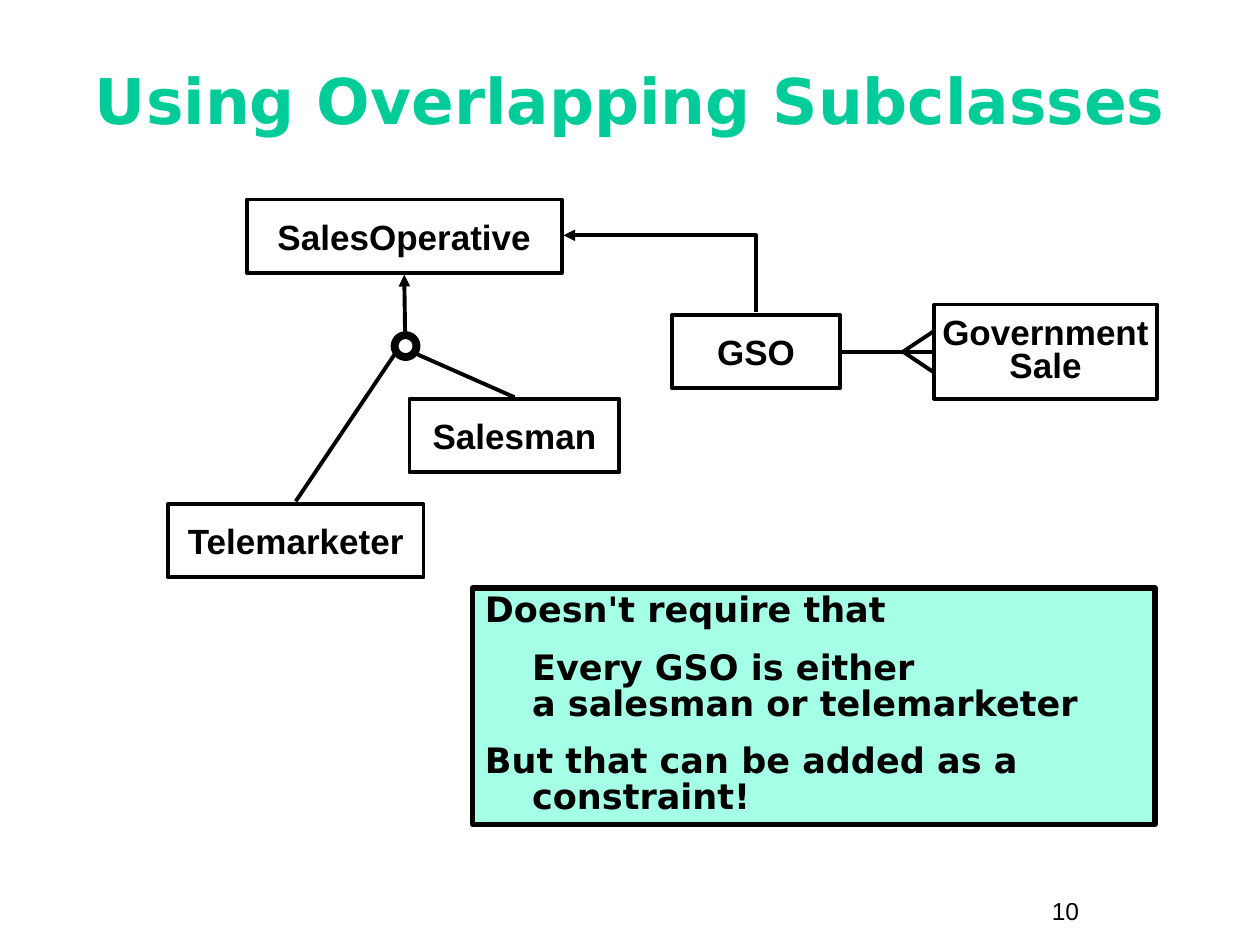
from dataclasses import dataclass

from lxml.etree import SubElement
from pptx import Presentation
from pptx.dml.color import RGBColor
from pptx.enum.shapes import MSO_CONNECTOR, MSO_SHAPE
from pptx.enum.text import MSO_ANCHOR, MSO_AUTO_SIZE, PP_ALIGN
from pptx.oxml.ns import qn
from pptx.slide import Slide
from pptx.util import Pt


def color(hex_code):
    return RGBColor.from_string(hex_code)


@dataclass
class Diagram:
    slide: Slide
    ink: str = "000000"
    accent: str = "00CC99"
    note_fill: str = "A5FFE7"
    label_font: str = "Arial"
    prose_font: str = "DejaVu Sans"
    stroke: float = 2.25
    label_size: int = 20
    space_before: float = 12.5
    note_indent: int = 27

    def format_runs(self, paragraph, font, size, hex_code, bold=True):
        for run in paragraph.runs:
            run.font.name = font
            run.font.size = Pt(size)
            run.font.bold = bold
            run.font.color.rgb = color(hex_code)

    def text(self, content, bounds, font, size, hex_code, bold=True,
             align=PP_ALIGN.LEFT, anchor=MSO_ANCHOR.TOP):
        frame = self.slide.shapes.add_textbox(*map(Pt, bounds)).text_frame
        frame.word_wrap = True
        frame.vertical_anchor = anchor
        frame.text = content
        frame.paragraphs[0].alignment = align
        self.format_runs(frame.paragraphs[0], font, size, hex_code, bold)

    def outline(self, preset, bounds, width, fill=None):
        """Add a bordered shape, hollow unless a fill is given."""
        shape = self.slide.shapes.add_shape(preset, *map(Pt, bounds))
        shape.shadow.inherit = False
        if fill:
            shape.fill.solid()
            shape.fill.fore_color.rgb = color(fill)
        else:
            shape.fill.background()
        shape.line.color.rgb = color(self.ink)
        shape.line.width = Pt(width)
        return shape

    def entity(self, name, bounds, line_spacing=None):
        frame = self.outline(MSO_SHAPE.RECTANGLE, bounds, self.stroke).text_frame
        frame.word_wrap = False
        frame.vertical_anchor = MSO_ANCHOR.MIDDLE
        label = frame.paragraphs[0]
        label.text = name
        label.alignment = PP_ALIGN.CENTER
        label.space_before = Pt(self.space_before)
        label.line_spacing = line_spacing
        self.format_runs(label, self.label_font, self.label_size, self.ink)

    def line(self, start, end, arrow=None, elbow=False):
        """Connect two points; arrow is None, "headEnd" or "tailEnd"."""
        kind = MSO_CONNECTOR.ELBOW if elbow else MSO_CONNECTOR.STRAIGHT
        connector = self.slide.shapes.add_connector(kind, *map(Pt, start + end))
        connector.line.color.rgb = color(self.ink)
        connector.line.width = Pt(self.stroke)
        properties = connector._element.spPr
        if elbow:
            properties.find(qn("a:prstGeom")).set("prst", "bentConnector2")
        if arrow:
            SubElement(properties.find(qn("a:ln")), qn(f"a:{arrow}"), type="triangle")
        SubElement(properties, qn("a:effectLst"))

    def note(self, statements, bounds):
        """Add the filled box; each statement is (text, first-line indent)."""
        frame = self.outline(MSO_SHAPE.RECTANGLE, bounds, 3, self.note_fill).text_frame
        frame.word_wrap = True
        frame.auto_size = MSO_AUTO_SIZE.SHAPE_TO_FIT_TEXT
        frame.vertical_anchor = MSO_ANCHOR.TOP
        frame.text = "\n".join(content for content, _ in statements)
        for paragraph, (_, first_indent) in zip(frame.paragraphs, statements):
            paragraph.alignment = PP_ALIGN.LEFT
            paragraph.line_spacing = 0.85
            paragraph.space_before = Pt(self.space_before)
            layout = paragraph._p.get_or_add_pPr()
            layout.set("marL", str(Pt(self.note_indent)))
            layout.set("indent", str(Pt(first_indent)))
            self.format_runs(paragraph, self.prose_font, self.label_size, self.ink)


def main():
    presentation = Presentation()
    presentation.slide_width, presentation.slide_height = Pt(720), Pt(540)
    diagram = Diagram(presentation.slides.add_slide(presentation.slide_layouts[6]))

    diagram.text("10", (594, 508.5, 66, 24.5), diagram.label_font, 14,
                 diagram.ink, bold=False)
    diagram.text("Using Overlapping Subclasses", (24, 24, 672, 66),
                 diagram.prose_font, 36, diagram.accent,
                 align=PP_ALIGN.CENTER, anchor=MSO_ANCHOR.MIDDLE)

    for name, left, top, width in (
        ("SalesOperative", 141, 114, 180),
        ("Salesman", 234, 228, 120),
        ("Telemarketer", 96, 288, 146),
        ("GSO", 384, 180, 96),
    ):
        diagram.entity(name, (left, top, width, 42))
    diagram.entity("Government\vSale", (534, 174, 127, 54), line_spacing=0.8)

    # Subclasses meet at the overlap circle below SalesOperative
    diagram.line((169, 286.5), (225.5, 202.5))
    diagram.line((294, 227), (238.5, 202.5))
    diagram.outline(MSO_SHAPE.OVAL, (225.5, 191.5, 12.5, 12.5), 4.5)
    diagram.line((231.5, 189.5), (231, 157), arrow="tailEnd")
    diagram.line((322, 134.5), (432, 178.5), arrow="headEnd", elbow=True)

    # Crow's foot from GSO to Government Sale
    axis = 201
    diagram.line((533, axis), (481, axis))
    for spread in (-12, 12):
        diagram.line((516, axis), (534, axis + spread))

    diagram.note((
        ("Doesn't require that", -diagram.note_indent),
        ("Every GSO is either \va salesman or telemarketer", 0),
        ("But that can be added as a constraint!", -diagram.note_indent),
    ), (270, 336, 390, 135))

    presentation.save("out.pptx")


if __name__ == "__main__":
    main()
